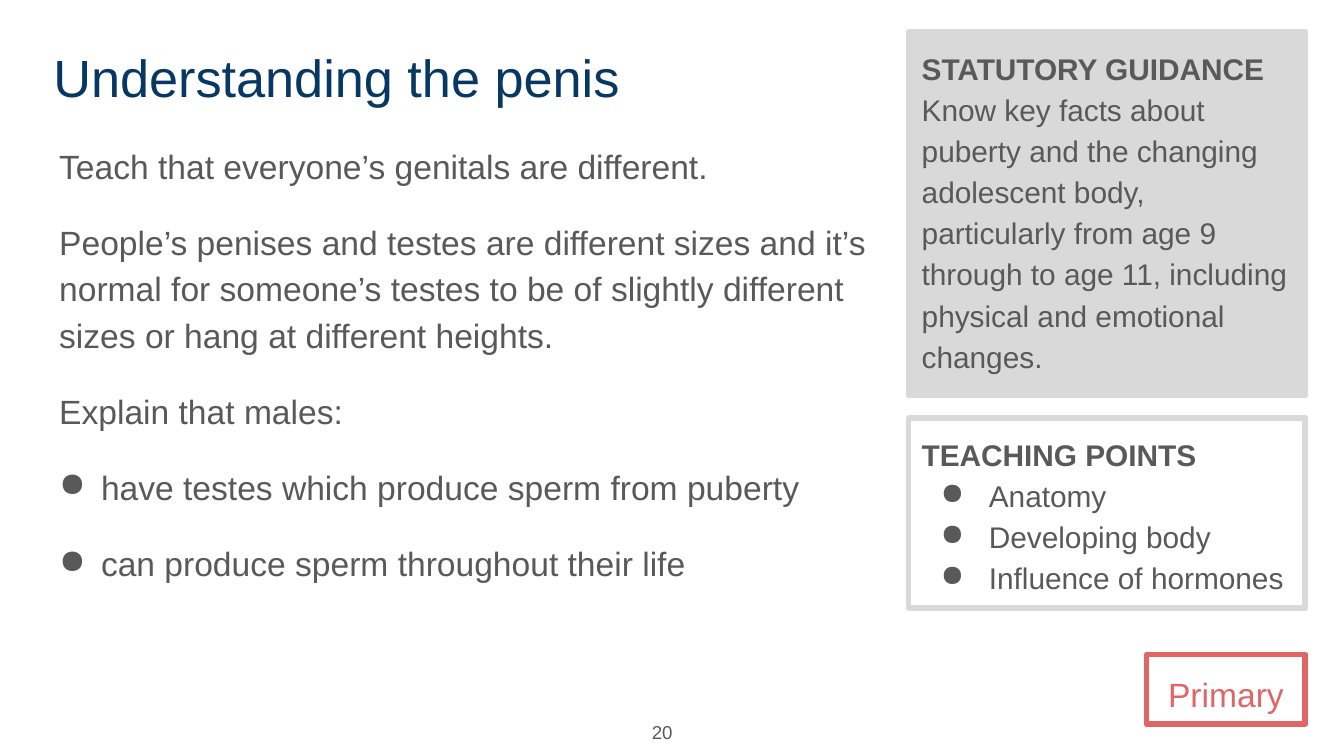
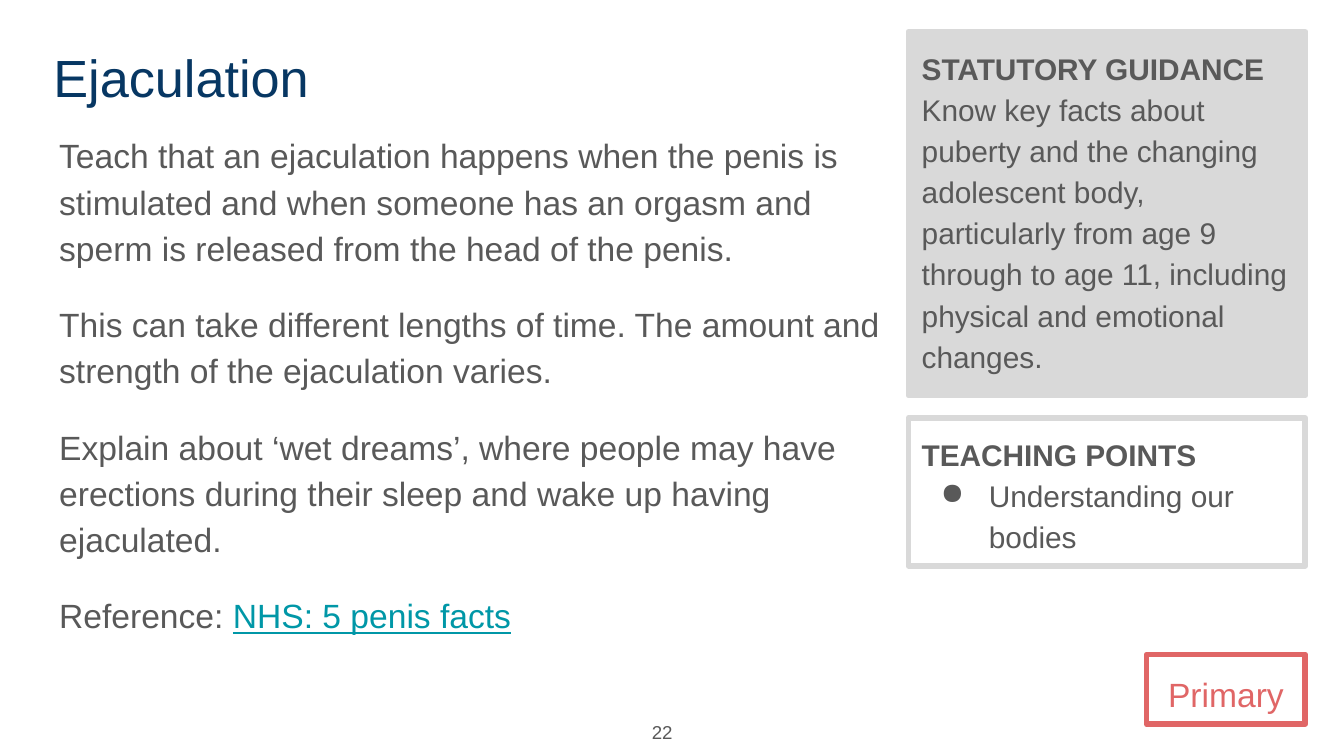
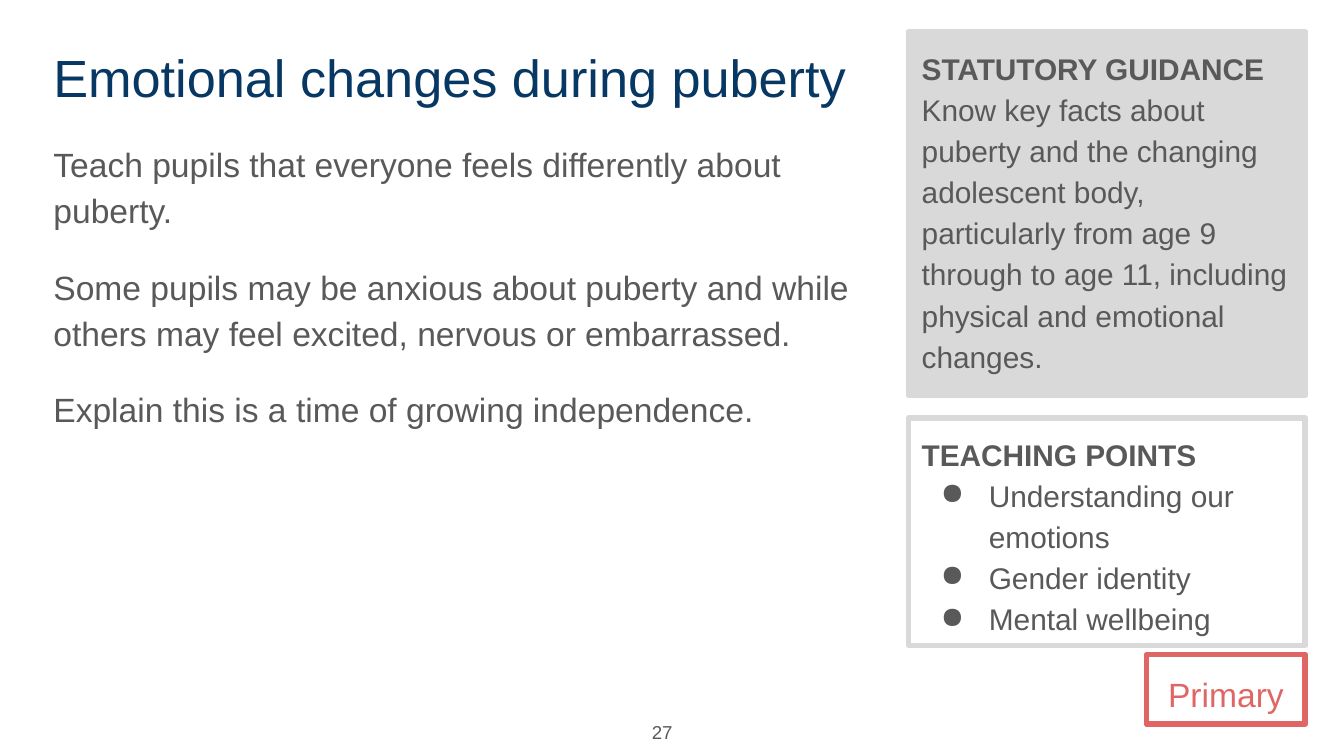
from typing import NamedTuple

from pptx import Presentation
from pptx.dml.color import RGBColor
from pptx.enum.shapes import MSO_SHAPE
from pptx.enum.text import MSO_ANCHOR, PP_ALIGN
from pptx.oxml.ns import qn
from pptx.util import Cm, Pt
from lxml import etree

RECTANGLE = MSO_SHAPE.RECTANGLE
TOP, MIDDLE = MSO_ANCHOR.TOP, MSO_ANCHOR.MIDDLE
LEFT, CENTER, RIGHT = PP_ALIGN.LEFT, PP_ALIGN.CENTER, PP_ALIGN.RIGHT

NAVY = RGBColor(0x07, 0x37, 0x63)
GREY = RGBColor(0x59, 0x59, 0x59)
PALE_GREY = RGBColor(0xD9, 0xD9, 0xD9)
CORAL = RGBColor(0xE0, 0x66, 0x66)
TEAL = RGBColor(0x00, 0x97, 0xA7)

FONT = "Arial"
INSET = 0.25
LINE_SPACING = 1.15


class Box(NamedTuple):
    """Left, top, width and height in centimetres."""
    left: float
    top: float
    width: float
    height: float

    def lengths(self):
        return [Cm(value) for value in self]


class Bullet(NamedTuple):
    text: str


class Reference(NamedTuple):
    label: str
    source: str


TITLE_BOX = Box(0.76, 0.6, 16.3, 1.6)
GUIDANCE_BOX = Box(17.17, 0.6, 7.5, 6.88)
TEACHING_LEFT, TEACHING_TOP, TEACHING_WIDTH = 17.17, 7.9, 7.5
STAGE_BOX = Box(21.67, 12.37, 3, 1.32)
NUMBER_BOX = Box(11.97, 13.36, 0.99, 0.94)

GUIDANCE = (
    "Know key facts about puberty and the changing adolescent body, "
    "particularly from age 9 through to age 11, including physical and "
    "emotional changes."
)

LESSONS = [
    {
        "title": "Understanding the penis",
        "number": 20,
        "body_box": Box(0.87, 2.39, 16.05, 9.12),
        "body": [
            "Teach that everyone’s genitals are different.",
            "People’s penises and testes are different sizes and it’s normal "
            "for someone’s testes to be of slightly different sizes or hang "
            "at different heights.",
            "Explain that males:",
            Bullet("have testes which produce sperm from puberty"),
            Bullet("can produce sperm throughout their life"),
        ],
        "points": ["Anatomy", "Developing body", "Influence of hormones"],
        "points_height": 3.6,
    },
    {
        "title": "Ejaculation",
        "number": 22,
        "body_box": Box(0.87, 2.19, 16.05, 9.12),
        "body": [
            "Teach that an ejaculation happens when the penis is stimulated "
            "and when someone has an orgasm and sperm is released from the "
            "head of the penis.",
            "This can take different lengths of time. The amount and "
            "strength of the ejaculation varies.",
            "Explain about ‘wet dreams’, where people may have erections "
            "during their sleep and wake up having ejaculated.",
            Reference("Reference: ", "NHS: 5 penis facts"),
        ],
        "points": ["Understanding our bodies"],
        "points_height": 2.8,
    },
    {
        "title": "Emotional changes during puberty",
        "number": 27,
        "body_box": Box(0.76, 2.36, 16.05, 10),
        "body": [
            "Teach pupils that everyone feels differently about puberty.",
            "Some pupils may be anxious about puberty and while others may "
            "feel excited, nervous or embarrassed.",
            "Explain this is a time of growing independence.",
        ],
        "points": ["Understanding our emotions", "Gender identity",
                   "Mental wellbeing"],
        "points_height": 4.3,
    },
]


def prepare_frame(shape, anchor=TOP):
    frame = shape.text_frame
    frame.word_wrap = True
    frame.vertical_anchor = anchor
    frame.margin_left = frame.margin_right = Cm(INSET)
    frame.margin_top = frame.margin_bottom = Cm(INSET)
    return frame


def add_text_frame(slide, box, anchor=TOP):
    return prepare_frame(slide.shapes.add_textbox(*box.lengths()), anchor)


def add_panel(slide, box, line_color, fill_color=None):
    """Add a rectangle with a thick, round-cornered outline; return its frame."""
    shape = slide.shapes.add_shape(RECTANGLE, *box.lengths())
    shape.shadow.inherit = False
    if fill_color is None:
        shape.fill.background()
    else:
        shape.fill.solid()
        shape.fill.fore_color.rgb = fill_color
    shape.line.color.rgb = line_color
    shape.line.width = Pt(3)
    etree.SubElement(shape._element.spPr.find(qn("a:ln")), qn("a:round"))
    return prepare_frame(shape)


def add_paragraph(frame, size, color=GREY, bold=False, align=LEFT,
                  spacing=LINE_SPACING, before=0, indent=None):
    """Add a paragraph; indent is the (margin, hang) of a bullet in cm."""
    first = frame.paragraphs[0]
    is_first = len(frame.paragraphs) == 1 and not first.runs
    paragraph = first if is_first else frame.add_paragraph()
    paragraph.alignment = align
    paragraph.line_spacing = spacing
    paragraph.space_before = Pt(0 if is_first else before)
    if indent:
        add_bullet(paragraph, *indent)
    paragraph.font.name = FONT
    paragraph.font.size = Pt(size)
    paragraph.font.bold = bold
    paragraph.font.color.rgb = color
    return paragraph


def add_bullet(paragraph, margin, hang):
    properties = paragraph._p.get_or_add_pPr()
    properties.set("marL", str(Cm(margin)))
    properties.set("indent", str(-Cm(hang)))
    bullet_color = etree.SubElement(properties, qn("a:buClr"))
    etree.SubElement(bullet_color, qn("a:srgbClr"), val=str(GREY))
    etree.SubElement(properties, qn("a:buChar"), char="●")


def add_run(paragraph, text):
    run = paragraph.add_run()
    run.text = text
    return run


def add_title(slide, box, title):
    frame = add_text_frame(slide, box)
    add_run(add_paragraph(frame, 28, NAVY, spacing=1.0), title)


def add_body(slide, box, items):
    frame = add_text_frame(slide, box)
    for item in items:
        indent = (0.79, 0.79) if isinstance(item, Bullet) else None
        paragraph = add_paragraph(frame, 18, before=16, indent=indent)
        if isinstance(item, Reference):
            add_run(paragraph, item.label)
            source = add_run(paragraph, item.source)
            source.font.color.rgb = TEAL
            source.font.underline = True
        else:
            add_run(paragraph, item.text if indent else item)


def add_guidance(slide, box):
    frame = add_panel(slide, box, PALE_GREY, PALE_GREY)
    paragraph = add_paragraph(frame, 16)
    add_run(paragraph, "STATUTORY GUIDANCE").font.bold = True
    paragraph.add_line_break()
    add_run(paragraph, GUIDANCE)


def add_teaching_points(slide, box, points):
    frame = add_panel(slide, box, PALE_GREY)
    add_run(add_paragraph(frame, 16, bold=True), "TEACHING POINTS")
    for point in points:
        add_run(add_paragraph(frame, 16, indent=(1.27, 0.91)), point)


def add_stage(slide, box):
    frame = add_panel(slide, box, CORAL)
    add_run(add_paragraph(frame, 18, CORAL, align=CENTER), "Primary")


def add_number(slide, box, number):
    frame = add_text_frame(slide, box, MIDDLE)
    add_run(add_paragraph(frame, 10, align=RIGHT, spacing=1.0), str(number))


def add_lesson(presentation, lesson):
    slide = presentation.slides.add_slide(presentation.slide_layouts[6])
    add_title(slide, TITLE_BOX, lesson["title"])
    add_body(slide, lesson["body_box"], lesson["body"])
    add_guidance(slide, GUIDANCE_BOX)
    add_number(slide, NUMBER_BOX, lesson["number"])
    add_stage(slide, STAGE_BOX)
    teaching_box = Box(TEACHING_LEFT, TEACHING_TOP, TEACHING_WIDTH,
                       lesson["points_height"])
    add_teaching_points(slide, teaching_box, lesson["points"])


def main():
    presentation = Presentation()
    presentation.slide_width = Cm(25.4)
    presentation.slide_height = Cm(14.29)
    for lesson in LESSONS:
        add_lesson(presentation, lesson)
    presentation.save("out.pptx")


if __name__ == "__main__":
    main()
